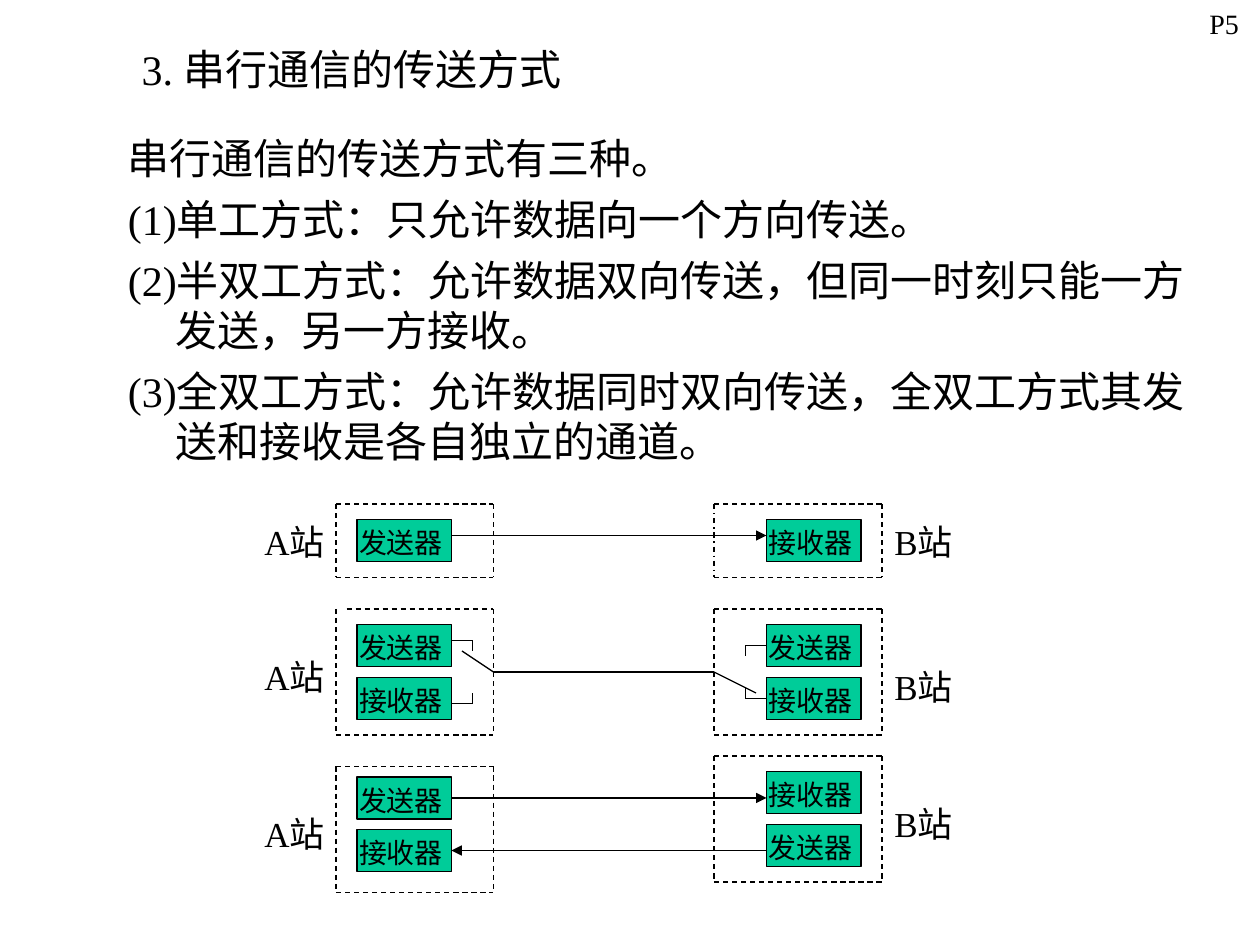
from itertools import pairwise

from lxml.etree import SubElement
from pptx import Presentation
from pptx.dml.color import RGBColor
from pptx.enum.dml import MSO_LINE
from pptx.enum.shapes import MSO_CONNECTOR, MSO_SHAPE
from pptx.enum.text import MSO_ANCHOR, PP_ALIGN
from pptx.oxml.ns import qn
from pptx.util import Pt

COLORS = {"ink": "000000", "unit": "00CC99"}
FONT = "Times New Roman"
UNIT_W, UNIT_H, UNIT_STEP = 54, 24, 30
A_WIDTH, B_LEFT, B_WIDTH = 90, 216, 96
SEND, RECEIVE = "发送器", "接收器"

BODY = [
    "串行通信的传送方式有三种。",
    "(1)单工方式：只允许数据向一个方向传送。",
    "(2)半双工方式：允许数据双向传送，但同一时刻只能一方发送，另一方接收。",
    "(3)全双工方式：允许数据同时双向传送，全双工方式其发送和接收是各自独立的通道。",
]

MODES = [
    {
        "top": 288,
        "a": {"units": [SEND], "height": 42, "label_dy": 6},
        "b": {"units": [RECEIVE], "height": 42, "label_dy": 6,
              "left_dash": MSO_LINE.DASH_DOT},
        "arrows": [[(66, 18), (246, 18)]],
        "wires": [],
    },
    {
        "top": 348,
        "a": {"units": [SEND, RECEIVE], "height": 72, "label_dy": 23, "gap": 6},
        "b": {"units": [SEND, RECEIVE], "height": 72, "label_dy": 29},
        "arrows": [],
        "wires": [
            [(66, 18), (78, 18), (78, 24)],
            [(66, 54), (78, 54), (78, 48)],
            [(246, 21), (234, 21), (234, 27)],
            [(246, 51), (234, 51), (234, 45)],
            [(72, 24), (90, 36), (216, 36), (240, 48)],
        ],
    },
    {
        "top": 432,
        "a": {"units": [SEND, RECEIVE], "height": 72, "label_dy": 23,
              "dy": 6, "unit_dy": 6},
        "b": {"units": [RECEIVE, SEND], "height": 72, "label_dy": 23},
        "arrows": [[(66, 24), (246, 24)], [(246, 54), (66, 54)]],
        "wires": [],
    },
]


def color(name):
    """Return the named colour."""
    return RGBColor.from_string(COLORS[name])


def write(tf, lines, size, **formats):
    """Fill a text frame with paragraphs of one size."""
    for key, value in formats.items():
        setattr(tf, key, value)
    for i, line in enumerate(lines):
        p = tf.paragraphs[0] if i == 0 else tf.add_paragraph()
        r = p.add_run()
        r.text = line
        for key, value in {"name": FONT, "size": Pt(size)}.items():
            setattr(r.font, key, value)
        r.font.color.rgb = color("ink")


def add_text(shapes, x, y, w, h, lines, size, **formats):
    """Add a wrapped text box and return its text frame."""
    tf = shapes.add_textbox(Pt(x), Pt(y), Pt(w), Pt(h)).text_frame
    write(tf, lines, size, **{"word_wrap": True, **formats})
    return tf


def add_line(shapes, start, end, dash=None, arrow=False):
    """Draw a thin straight line, optionally dashed or with an arrowhead."""
    sp = shapes.add_connector(MSO_CONNECTOR.STRAIGHT,
                              *(Pt(v) for v in (*start, *end)))
    sp.line.width = Pt(0.75)
    sp.line.color.rgb = color("ink")
    if dash:
        sp.line.dash_style = dash
    if arrow:
        SubElement(sp.line._get_or_add_ln(), qn("a:tailEnd"), type="triangle")
    SubElement(sp._element.spPr, qn("a:effectLst"))


def add_unit(shapes, x, y, name):
    """Add a sender or receiver block."""
    sp = shapes.add_shape(MSO_SHAPE.RECTANGLE, Pt(x), Pt(y), Pt(UNIT_W), Pt(UNIT_H))
    sp.shadow.inherit = False
    sp.fill.solid()
    sp.fill.fore_color.rgb = color("unit")
    sp.line.color.rgb = color("ink")
    sp.line.width = Pt(0.75)
    write(sp.text_frame, [name], 16, word_wrap=False,
          vertical_anchor=MSO_ANCHOR.TOP, margin_left=Pt(1.2), margin_right=0,
          margin_top=Pt(3.6), margin_bottom=0)
    sp.text_frame.paragraphs[0].alignment = PP_ALIGN.LEFT


def add_station(shapes, x, y, w, unit_x, label, label_x, station):
    """Add a dashed station frame with its units and label."""
    right, bottom = x + w, y + station["height"]
    dash = MSO_LINE.DASH
    edges = [
        ((x + station.get("gap", 0), y), (right, y), dash),
        ((right, y), (right, bottom), dash),
        ((x, bottom), (right, bottom), dash),
        ((x, y), (x, bottom), station.get("left_dash", dash)),
    ]
    for start, end, style in edges:
        add_line(shapes, start, end, style)
    for i, name in enumerate(station["units"]):
        add_unit(shapes, x + unit_x, y + station.get("unit_dy", 9) + i * UNIT_STEP, name)
    add_text(shapes, label_x, y + station["label_dy"], 60, 32, [label], 20)


def add_mode(s, x, mode):
    """Add one transmission mode as a group of two linked stations."""
    shapes = s.shapes.add_group_shape().shapes
    y = mode["top"]
    a, b = mode["a"], mode["b"]
    b_x = x + B_LEFT
    add_station(shapes, x, y + a.get("dy", 0), A_WIDTH, 12, "A站", x - 48, a)
    add_station(shapes, b_x, y, B_WIDTH, 30, "B站", b_x + B_WIDTH, b)
    for kind in ("arrows", "wires"):
        for route in mode[kind]:
            points = [(x + dx, y + dy) for dx, dy in route]
            for start, end in pairwise(points):
                add_line(shapes, start, end, arrow=kind == "arrows")


def add_heading(s, x, y, w, h):
    """Add the centred section heading."""
    tf = add_text(s.shapes, x, y, w, h, ["3. 串行通信的传送方式"], 24,
                  vertical_anchor=MSO_ANCHOR.MIDDLE)
    tf.paragraphs[0].alignment = PP_ALIGN.CENTER


def add_body(s, x, y, w, h):
    """Add the explanation with hanging indents."""
    tf = add_text(s.shapes, x, y, w, h, BODY, 24)
    for i, p in enumerate(tf.paragraphs):
        pPr = p._p.get_or_add_pPr()
        pPr.set("marL", str(Pt(27)))
        pPr.set("indent", str(-Pt(27)))
        if i:
            p.space_before = Pt(6)


def main():
    """Build and save the slide."""
    prs = Presentation()
    prs.slide_width, prs.slide_height = Pt(720), Pt(540)
    s = prs.slides.add_slide(prs.slide_layouts[6])
    add_heading(s, 54, 24, 294, 30)
    add_body(s, 66, 72, 622, 198)
    add_text(s.shapes, 684, 0, 36, 27, ["P5"], 16)
    for mode in MODES:
        add_mode(s, 192, mode)
    prs.save("out.pptx")


if __name__ == "__main__":
    main()
